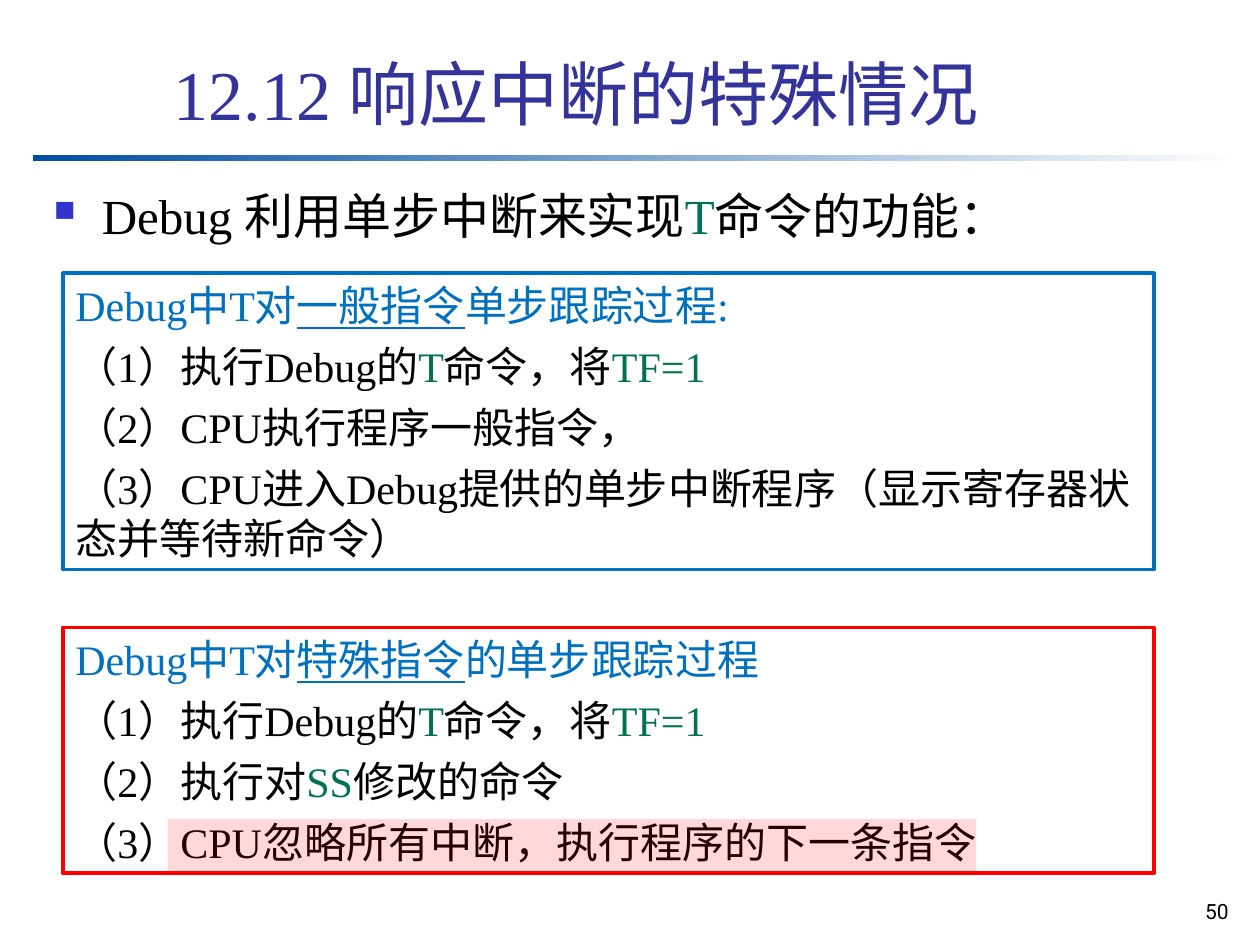
from dataclasses import dataclass

from lxml import etree
from pptx import Presentation
from pptx import util as u
from pptx.dml.color import RGBColor
from pptx.enum import shapes, text
from pptx.oxml.ns import qn


@dataclass(frozen=True)
class Theme:
    serif: str = "Times New Roman"
    sans: str = "Roboto"
    title: str = "333399"
    ink: str = "000000"
    blue: str = "0070C0"
    green: str = "007254"
    red: str = "FF0000"
    bullet: str = "3333CC"
    rule: str = "004EA2"
    paper: str = "FFFFFF"
    head_size: int = 40
    lead_size: int = 28
    step_size: int = 24
    page_size: int = 12


T = Theme()


def rgb(code):
    return RGBColor.from_string(code)


def inch(box):
    return [u.Inches(n) for n in box]


def add_runs(para, runs, size, face=T.serif):
    """Each run is (words, colour) or (words, colour, underline)."""
    for words, color, *under in runs:
        run = para.add_run()
        run.text = words
        font = run.font
        font.name, font.size = face, u.Pt(size)
        font.color.rgb = rgb(color)
        if under:
            font.underline = under[0]


def add_rect(slide, box):
    rect = slide.shapes.add_shape(shapes.MSO_SHAPE.RECTANGLE, *inch(box))
    rect.shadow.inherit = False
    rect.line.fill.background()
    return rect


def set_frame(frame, anchor=text.MSO_ANCHOR.TOP):
    frame.word_wrap = True
    frame.auto_size = text.MSO_AUTO_SIZE.NONE
    frame.vertical_anchor = anchor
    frame.margin_left = frame.margin_right = u.Inches(0.1)
    frame.margin_top = frame.margin_bottom = u.Inches(0.05)


def add_title(slide, box, words):
    title = slide.shapes.title
    title.left, title.top, title.width, title.height = inch(box)
    set_frame(title.text_frame, text.MSO_ANCHOR.BOTTOM)
    para = title.text_frame.paragraphs[0]
    para.alignment = text.PP_ALIGN.LEFT
    add_runs(para, [(words, T.title)], T.head_size)


def add_rule(slide, box):
    fill = add_rect(slide, box).fill
    fill.gradient()
    fill.gradient_angle = 0
    for stop, color, place in zip(fill.gradient_stops, (T.rule, T.paper), (0, 1)):
        stop.color.rgb = rgb(color)
        stop.position = place


def set_bullet(para, indent):
    props = para._p.get_or_add_pPr()
    props.set("marL", str(u.Inches(indent)))
    props.set("indent", str(u.Inches(-indent)))
    color = etree.SubElement(props, qn("a:buClr"))
    etree.SubElement(color, qn("a:srgbClr"), val=T.bullet)
    etree.SubElement(props, qn("a:buSzPct"), val="60000")
    etree.SubElement(props, qn("a:buChar"), char="■")


def add_lead(slide, box, runs):
    frame = slide.shapes.add_textbox(*inch(box)).text_frame
    set_frame(frame)
    para = frame.paragraphs[0]
    set_bullet(para, 0.38)
    add_runs(para, runs, T.lead_size)


def add_panel(slide, box, color, rows):
    panel = add_rect(slide, box)
    panel.fill.background()
    panel.line.color.rgb = rgb(color)
    panel.line.width = u.Pt(2.25)
    frame = panel.text_frame
    set_frame(frame)
    for i, runs in enumerate(rows):
        para = frame.add_paragraph() if i else frame.paragraphs[0]
        para.alignment = text.PP_ALIGN.LEFT
        if i:
            para.space_before = u.Pt(6)
        add_runs(para, runs, T.step_size)


def add_mark(slide, box):
    """Lay a see-through red band over the text."""
    fill = add_rect(slide, box).fill
    fill.solid()
    fill.fore_color.rgb = rgb(T.red)
    color = fill._xPr.find(".//" + qn("a:srgbClr"))
    etree.SubElement(color, qn("a:alpha"), val="15000")


def add_page(slide, box, words):
    frame = slide.shapes.add_textbox(*inch(box)).text_frame
    set_frame(frame)
    para = frame.paragraphs[0]
    para.alignment = text.PP_ALIGN.RIGHT
    add_runs(para, [(words, T.ink)], T.page_size, T.sans)


def head_runs(kind, rest):
    return [("Debug中T对", T.blue), (kind, T.blue, True), (rest, T.blue)]


def main():
    deck = Presentation()
    deck.slide_width, deck.slide_height = u.Inches(10), u.Inches(7.5)
    slide = deck.slides.add_slide(deck.slide_layouts[5])

    add_rule(slide, (0.26, 1.23, 9.6, 0.05))
    add_page(slide, (9.18, 7.08, 0.67, 0.33), "50")
    add_title(slide, (1.28, 0.18, 8.52, 0.94), "12.12 响应中断的特殊情况")
    add_lead(slide, (0.33, 1.42, 9.46, 5.67), [
        ("Debug 利用单步中断来实现", T.ink),
        ("T", T.green),
        ("命令的功能：", T.ink),
    ])

    first = [("（1）执行Debug的", T.ink), ("T", T.green),
             ("命令，将", T.ink), ("TF=1", T.green)]
    left, width = 0.5, 8.66
    add_panel(slide, (left, 4.98, width, 1.95), T.red, [
        head_runs("特殊指令", "的单步跟踪过程"),
        first,
        [("（2）执行对", T.ink), ("SS", T.green), ("修改的命令", T.ink)],
        [("（3）CPU忽略所有中断，执行程序的下一条指令", T.ink)],
    ])
    add_panel(slide, (left, 2.17, width, 2.35), T.blue, [
        head_runs("一般指令", "单步跟踪过程:"),
        first,
        [("（2）CPU执行程序一般指令，", T.ink)],
        [("（3）CPU进入Debug提供的单步中断程序（显示寄存器状态并等待新命令）", T.ink)],
    ])
    add_mark(slide, (1.33, 6.5, 6.42, 0.42))
    deck.save("out.pptx")


if __name__ == "__main__":
    main()
